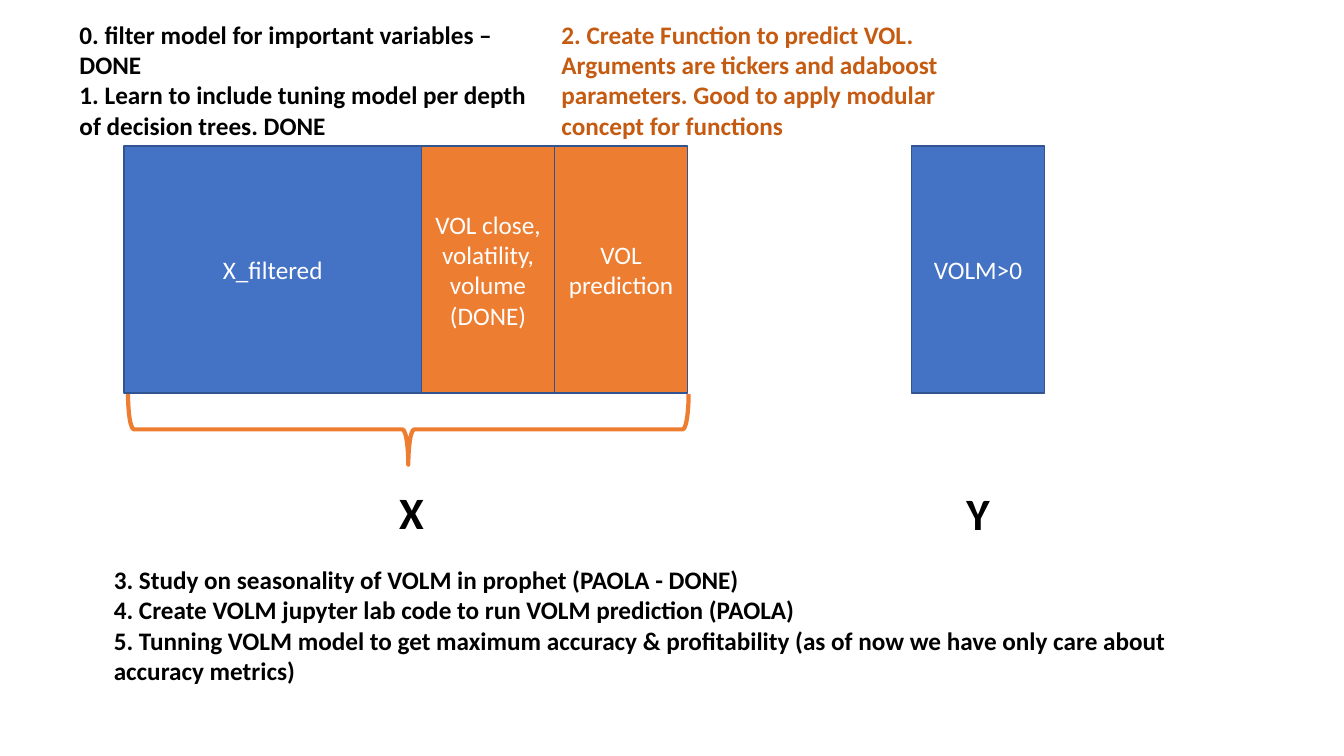
import pptx
import pptx.dml.color
import pptx.enum.shapes
import pptx.enum.text
import pptx.util

PX = 9144  # 100 px to the inch
COLORS = {
    "blue": "4472C4",
    "orange": "ED7D31",
    "outline": "325491",
    "rust": "C55A11",
    "black": "000000",
    "white": "FFFFFF",
}
SHAPES = pptx.enum.shapes.MSO_SHAPE
ALIGN = pptx.enum.text.PP_ALIGN


def rgb(name):
    return pptx.dml.color.RGBColor.from_string(COLORS[name])


def write(frame, lines, size, color, bold, align):
    """Fill a text frame with one paragraph per line."""
    frame.word_wrap = True
    for index, line in enumerate(lines):
        paragraph = frame.paragraphs[0] if index == 0 else frame.add_paragraph()
        paragraph.text = line
        paragraph.alignment = align
        paragraph.font.name = "Calibri"
        paragraph.font.size = pptx.util.Pt(size)
        paragraph.font.bold = bold
        paragraph.font.color.rgb = rgb(color)


deck = pptx.Presentation()
deck.slide_width = 1333 * PX
deck.slide_height = 750 * PX
slide = deck.slides.add_slide(deck.slide_layouts[6])

# Data blocks: features side by side, target on the right
BLOCK_TOP, BLOCK_HEIGHT = 145, 245
NARROW = 132
blocks = [
    (123, 295, "blue", ["X_filtered"]),
    (550, NARROW, "orange", ["VOL prediction"]),
    (904, NARROW, "blue", ["VOLM>0"]),
    (418, NARROW, "orange", ["VOL close, volatility, volume", "(DONE)"]),
]
for left, width, fill, lines in blocks:
    block = slide.shapes.add_shape(
        SHAPES.RECTANGLE, left * PX, BLOCK_TOP * PX, width * PX, BLOCK_HEIGHT * PX)
    block.shadow.inherit = False
    block.fill.solid()
    block.fill.fore_color.rgb = rgb(fill)
    block.line.color.rgb = rgb("outline")
    block.line.width = pptx.util.Pt(1)
    block.text_frame.vertical_anchor = pptx.enum.text.MSO_ANCHOR.MIDDLE
    write(block.text_frame, lines, 18, "white", False, ALIGN.CENTER)

# Brace that gathers the feature blocks into X
brace = slide.shapes.add_shape(SHAPES.LEFT_BRACE, 370 * PX, 148 * PX, 70 * PX, 556 * PX)
brace.rotation = 270
brace.shadow.inherit = False
brace.fill.background()
brace.line.color.rgb = rgb("orange")
brace.line.width = pptx.util.Pt(3)

# Axis letters and task notes
notes = [
    (386, 476, 108, 64, 32, "black", ALIGN.LEFT, ["X"]),
    (904, 477, NARROW, 64, 32, "black", ALIGN.CENTER, ["Y"]),
    (69, 14, 464, 131, 18, "black", ALIGN.LEFT, [
        "0. filter model for important variables – DONE",
        "1. Learn to include tuning model per depth of decision trees. DONE",
    ]),
    (547, 14, 464, 131, 18, "rust", ALIGN.LEFT, [
        "2. Create Function to predict VOL. Arguments are tickers and adaboost "
        "parameters. Good to apply modular concept for functions",
    ]),
    (103, 555, 1142, 131, 18, "black", ALIGN.LEFT, [
        "3. Study on seasonality of VOLM in prophet (PAOLA - DONE)",
        "4. Create VOLM jupyter lab code to run VOLM prediction (PAOLA)",
        "5. Tunning VOLM model to get maximum accuracy & profitability "
        "(as of now we have only care about accuracy metrics)",
    ]),
]
for left, top, width, height, size, color, align, lines in notes:
    note = slide.shapes.add_textbox(left * PX, top * PX, width * PX, height * PX)
    note.text_frame.auto_size = pptx.enum.text.MSO_AUTO_SIZE.SHAPE_TO_FIT_TEXT
    write(note.text_frame, lines, size, color, True, align)

deck.save("out.pptx")
